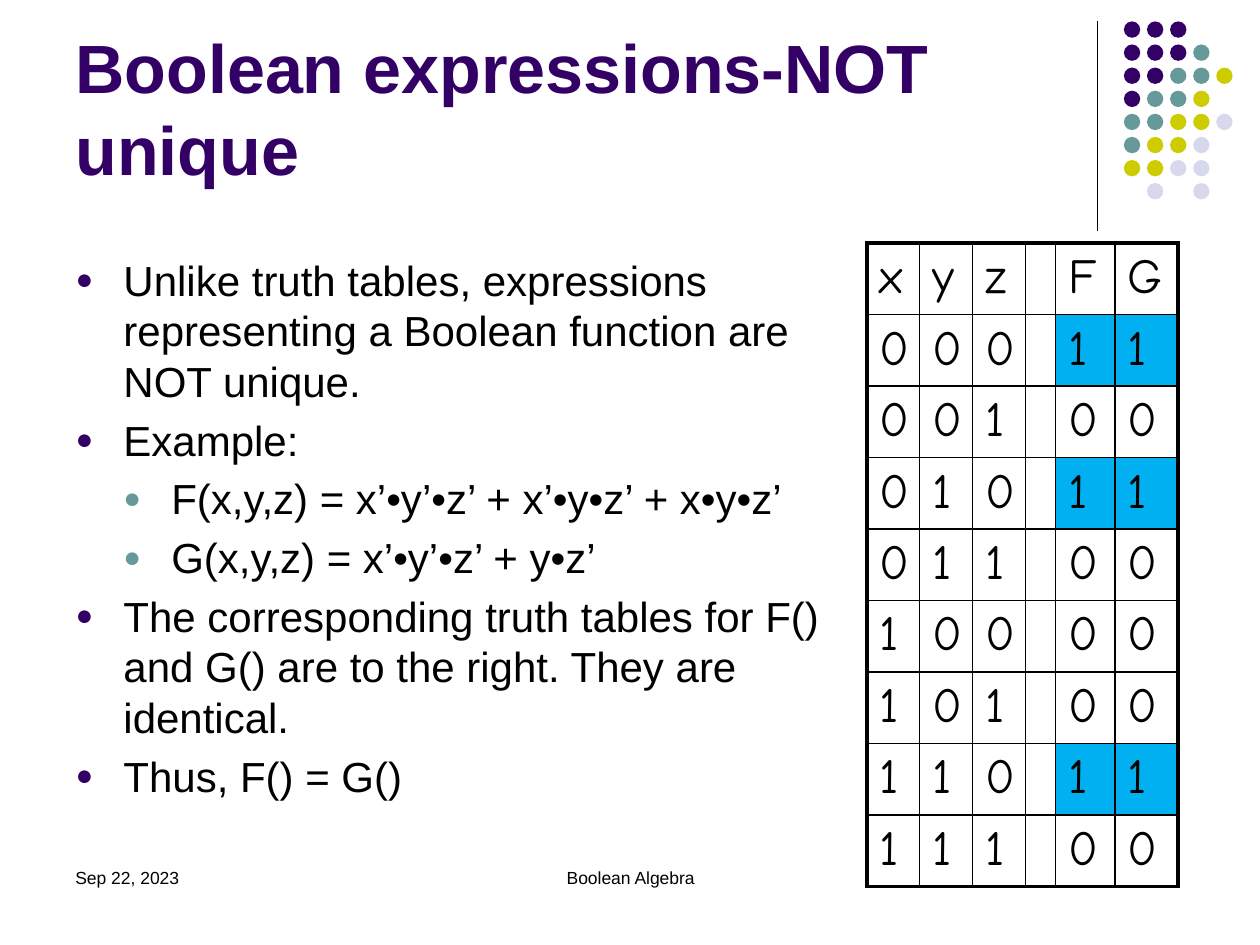
import pptx
import pptx.util
import pptx.dml.color
import pptx.enum.shapes
import pptx.enum.text
from lxml import etree
from pptx.oxml.ns import qn
from pptx.util import Inches, Pt

RGB = pptx.dml.color.RGBColor
PURPLE = RGB(0x33, 0x00, 0x66)
TEAL = RGB(0x66, 0x99, 0x99)
LIME = RGB(0xCC, 0xCC, 0x00)
PALE = RGB(0xD8, 0xD8, 0xEC)
BLACK = RGB(0, 0, 0)
WHITE = RGB(0xFF, 0xFF, 0xFF)
BLUE = RGB(0x00, 0xB0, 0xF0)

TITLE = "Boolean expressions-NOT unique"
POINTS = [
    (0, "Unlike truth tables, expressions representing a Boolean function are NOT unique."),
    (0, "Example:"),
    (1, "F(x,y,z) = x’•y’•z’ + x’•y•z’ + x•y•z’"),
    (1, "G(x,y,z) = x’•y’•z’ + y•z’"),
    (0, "The corresponding truth tables for F() and G() are to the right. They are identical."),
    (0, "Thus, F() = G()"),
]
LEFT, CENTER = pptx.enum.text.PP_ALIGN.LEFT, pptx.enum.text.PP_ALIGN.CENTER
FOOTERS = [
    ("Sep 22, 2023", 0.5, 2.33, LEFT),
    ("Boolean Algebra", 3.42, 3.17, CENTER),
]
HEADS = ["x", "y", "z", "", "F", "G"]
TRUTH = ["000 11", "001 00", "010 11", "011 00", "100 00",
         "101 00", "110 11", "111 00"]
WIDTHS = [0.42, 0.42, 0.42, 0.23, 0.47, 0.5]
THIN, THICK = Pt(0.96), Pt(2.21)

DOTS = ["PPP", "PPPT", "PPTTL", "PTTL", "TTLLA", "TLLA", "LLAA", " A A"]
TINTS = {"P": PURPLE, "T": TEAL, "L": LIME, "A": PALE}
STEP = 1.1 / 6


def style(para, size, color, face="Arial"):
    para.font.size = Pt(size)
    para.font.name = face
    para.font.color.rgb = color


def place(shape, left, top, width, height):
    shape.left, shape.top = Inches(left), Inches(top)
    shape.width, shape.height = Inches(width), Inches(height)


def bullet(para, level, color):
    props = para._p.get_or_add_pPr()
    props.set("marL", str(Inches(0.38 * (level + 1))))
    props.set("indent", str(Inches(-0.38)))
    tint = etree.SubElement(props, qn("a:buClr"))
    etree.SubElement(tint, qn("a:srgbClr"), val=str(color))
    etree.SubElement(props, qn("a:buSzPct"), val="70000")
    etree.SubElement(props, qn("a:buFont"), typeface="Arial")
    etree.SubElement(props, qn("a:buChar"), char="●")


def border(cell, side, width):
    line = etree.SubElement(cell._tc.get_or_add_tcPr(), qn("a:ln" + side), w=str(width))
    fill = etree.SubElement(line, qn("a:solidFill"))
    etree.SubElement(fill, qn("a:srgbClr"), val=str(BLACK))


def add_decor(slide):
    """Draw the upright rule and the dot pattern in the top right corner."""
    rule = slide.shapes.add_connector(
        pptx.enum.shapes.MSO_CONNECTOR.STRAIGHT,
        Inches(8.71), Inches(0.17), Inches(8.71), Inches(1.83))
    rule.line.color.rgb = BLACK
    rule.line.width = Pt(0.75)
    etree.SubElement(rule._element.spPr, qn("a:effectLst"))

    group = slide.shapes.add_group_shape()
    for row, marks in enumerate(DOTS):
        for col, mark in enumerate(marks):
            if mark == " ":
                continue
            dot = group.shapes.add_shape(
                pptx.enum.shapes.MSO_SHAPE.OVAL,
                Inches(8.92 + col * STEP), Inches(0.17 + row * STEP),
                Inches(0.13), Inches(0.13))
            dot.shadow.inherit = False
            dot.fill.solid()
            dot.fill.fore_color.rgb = TINTS[mark]
            dot.line.fill.background()


def add_text(slide):
    title = slide.shapes.title
    place(title, 0.5, 0.13, 8.25, 1.42)
    frame = title.text_frame
    frame.text = TITLE
    frame.vertical_anchor = pptx.enum.text.MSO_ANCHOR.BOTTOM
    frame.auto_size = pptx.enum.text.MSO_AUTO_SIZE.NONE
    head = frame.paragraphs[0]
    head.alignment = LEFT
    style(head, 39, PURPLE)
    head.font.bold = True

    body = slide.placeholders[1]
    place(body, 0.5, 1.97, 6.35, 4.95)
    frame = body.text_frame
    frame.auto_size = pptx.enum.text.MSO_AUTO_SIZE.NONE
    for i, (level, text) in enumerate(POINTS):
        para = frame.add_paragraph() if i else frame.paragraphs[0]
        para.text = text
        para.level = level
        para.space_before = Pt(4.8 if i else 0)
        bullet(para, level, TEAL if level else PURPLE)
        style(para, 24, BLACK)

    for text, left, width, align in FOOTERS:
        box = slide.shapes.add_textbox(
            Inches(left), Inches(6.83), Inches(width), Inches(0.5))
        box.text_frame.word_wrap = True
        para = box.text_frame.paragraphs[0]
        para.text = text
        para.alignment = align
        style(para, 10, BLACK)


def add_truth(slide):
    rows = [HEADS] + [list(line.replace(" ", "-")) for line in TRUTH]
    last, end = len(rows) - 1, len(HEADS) - 1
    table = slide.shapes.add_table(
        len(rows), len(HEADS), Inches(6.88), Inches(1.93),
        Inches(sum(WIDTHS)), Inches(5.1)).table
    table.first_row = table.horz_banding = False
    for col, width in zip(table.columns, WIDTHS):
        col.width = Inches(width)
    for r, row in enumerate(rows):
        for c, text in enumerate(row):
            cell = table.cell(r, c)
            edges = {"L": c == 0, "R": c == end, "T": r == 0, "B": r == last}
            for side, outer in edges.items():
                border(cell, side, THICK if outer else THIN)
            cell.fill.solid()
            cell.fill.fore_color.rgb = BLUE if c > 3 and text == "1" else WHITE
            if HEADS[c]:
                para = cell.text_frame.paragraphs[0]
                para.text = text
                style(para, 28, BLACK, "Comic Neue")


def main():
    deck = pptx.Presentation()
    deck.slide_width, deck.slide_height = Inches(10), Inches(7.5)
    slide = deck.slides.add_slide(deck.slide_layouts[1])
    add_decor(slide)
    add_text(slide)
    add_truth(slide)
    deck.save("out.pptx")


if __name__ == "__main__":
    main()
